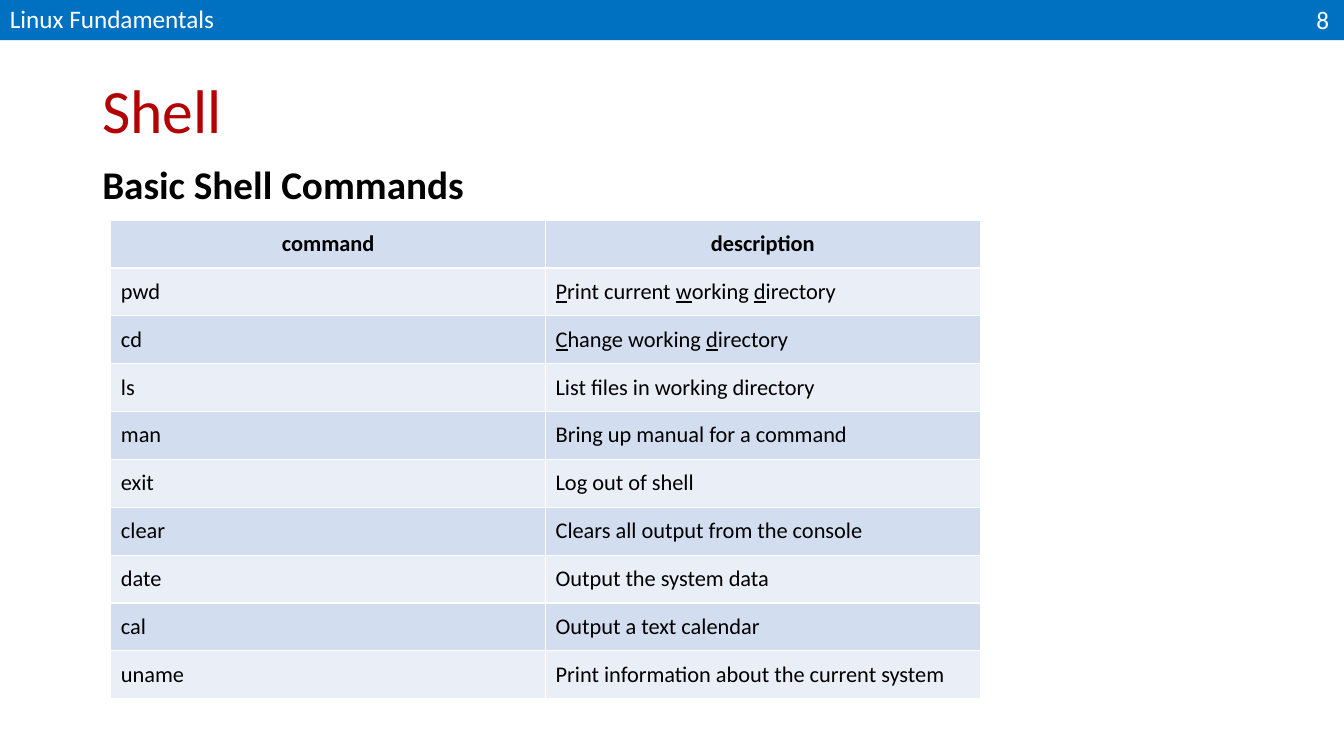
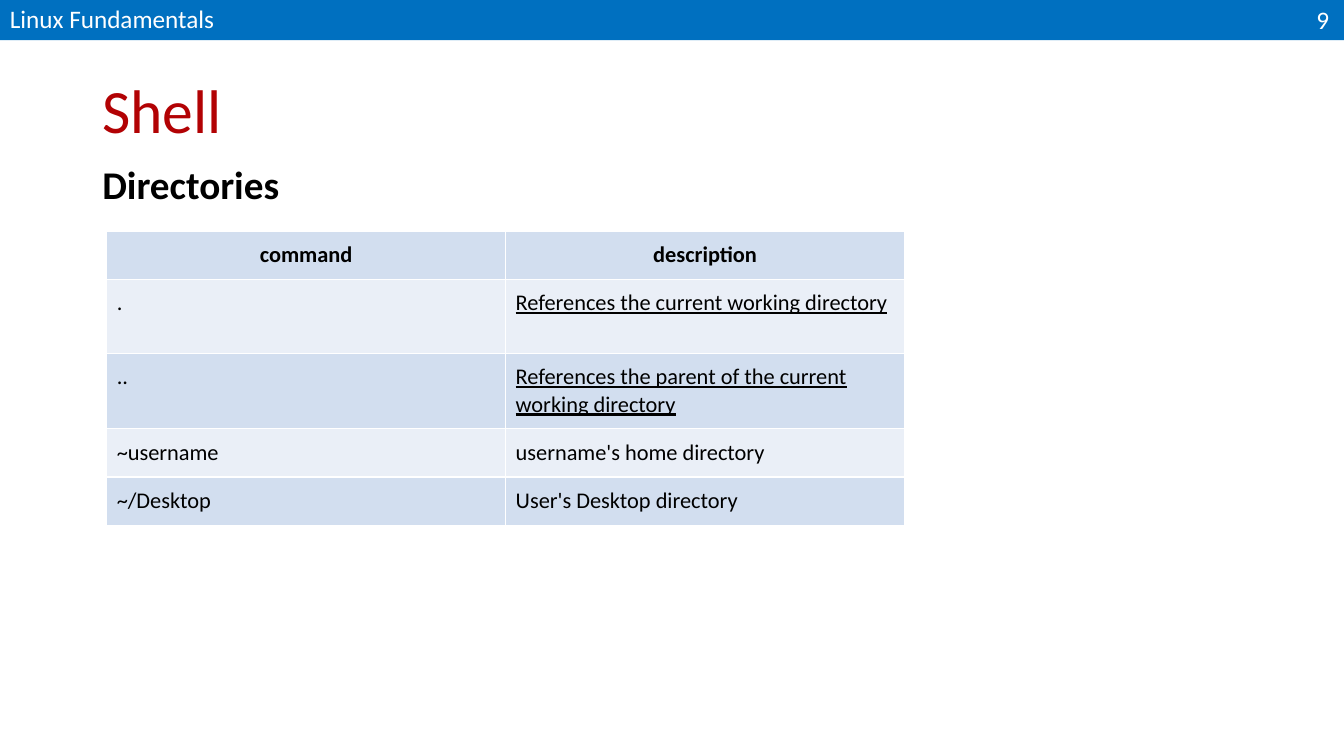
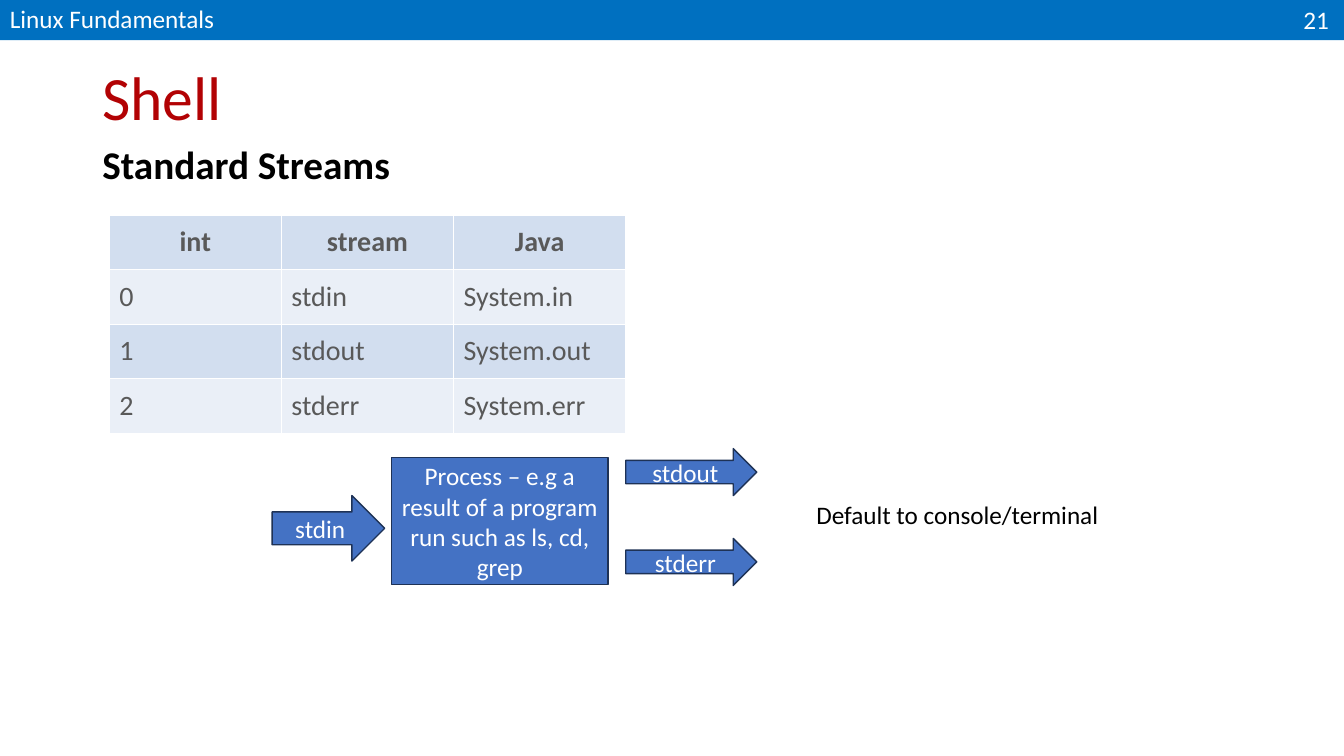
from dataclasses import dataclass

import lxml.etree
import pptx
import pptx.dml.color
import pptx.enum.shapes
import pptx.enum.text
import pptx.oxml.ns
import pptx.util

SHAPES = pptx.enum.shapes.MSO_SHAPE
ALIGN = pptx.enum.text.PP_ALIGN
ANCHOR = pptx.enum.text.MSO_ANCHOR
COLUMNS, ROWS = 160, 90
CELL = pptx.util.Inches(1) // 12


@dataclass(frozen=True)
class Theme:
    font: str = "Calibri"
    band: str = "0070C0"
    title: str = "B20204"
    ink: str = "000000"
    muted: str = "595959"
    white: str = "FFFFFF"
    stripes: tuple = ("D2DEEF", "EAEFF7")
    node: str = "4472C4"
    node_edge: str = "1E3256"
    title_size: int = 44
    heading_size: int = 28
    stream_size: int = 20
    label_size: int = 18
    command_size: int = 16


THEME = Theme()


@dataclass(frozen=True)
class Box:
    left: float
    top: float
    width: float
    height: float

    def inner(self, left, top, width, height):
        return Box(self.left + left, self.top + top, width, height)

    def emu(self):
        return [round(n * CELL) for n in (self.left, self.top, self.width, self.height)]


PAGE = Box(0, 0, COLUMNS, ROWS)


def rgb(value):
    return pptx.dml.color.RGBColor.from_string(value)


def write(frame, text, size=THEME.label_size, color=THEME.ink, bold=False,
          align=ALIGN.LEFT, spacing=None):
    paragraph = frame.paragraphs[0]
    paragraph.alignment = align
    if spacing:
        paragraph.line_spacing = spacing
    for index, part in enumerate(text.split("_")):
        if part:
            run = paragraph.add_run()
            run.text = part
            font = run.font
            font.name, font.size, font.bold = THEME.font, pptx.util.Pt(size), bold
            font.color.rgb = rgb(color)
            if index % 2:
                font.underline = True


def add_label(slide, box, text, anchor=ANCHOR.TOP, **format):
    frame = slide.shapes.add_textbox(*box.emu()).text_frame
    frame.word_wrap = True
    frame.vertical_anchor = anchor
    write(frame, text, **format)


def add_block(slide, box, kind, fill, edge=None, text=""):
    block = slide.shapes.add_shape(kind, *box.emu())
    block.shadow.inherit = False
    block.fill.solid()
    block.fill.fore_color.rgb = rgb(fill)
    if edge:
        block.line.color.rgb = rgb(edge)
        block.line.width = pptx.util.Pt(1)
    else:
        block.line.fill.background()
    if text:
        block.text_frame.word_wrap = True
        block.text_frame.vertical_anchor = ANCHOR.MIDDLE
        write(block.text_frame, text, color=THEME.white, align=ALIGN.CENTER)


def add_borders(cell):
    properties = cell._tc.get_or_add_tcPr()
    qn = pptx.oxml.ns.qn
    for position, side in enumerate(("a:lnL", "a:lnR", "a:lnT", "a:lnB")):
        line = lxml.etree.Element(qn(side), w=str(pptx.util.Pt(1)))
        fill = lxml.etree.SubElement(line, qn("a:solidFill"))
        lxml.etree.SubElement(fill, qn("a:srgbClr"), val=THEME.white)
        properties.insert(position, line)


def add_grid(slide, box, rows, size, color=THEME.ink, heights=None):
    heights = heights or [box.height / len(rows)] * len(rows)
    table = slide.shapes.add_table(len(rows), len(rows[0]), *box.emu()).table
    for column in table.columns:
        column.width = round(box.width * CELL / len(rows[0]))
    for r, (texts, height) in enumerate(zip(rows, heights)):
        table.rows[r].height = round(height * CELL)
        for c, text in enumerate(texts):
            cell = table.cell(r, c)
            cell.margin_left = cell.margin_right = pptx.util.Inches(0.1)
            cell.margin_top = cell.margin_bottom = pptx.util.Inches(0.1)
            cell.fill.solid()
            cell.fill.fore_color.rgb = rgb(THEME.stripes[r % 2])
            add_borders(cell)
            write(cell.text_frame, text, size=size, color=color, bold=r == 0,
                  align=ALIGN.LEFT if r else ALIGN.CENTER)


def add_band(slide, box, number):
    add_block(slide, box, SHAPES.RECTANGLE, THEME.band)
    add_label(slide, box.inner(150.2, -0.1, 9.2, 4.9), number,
              color=THEME.white, align=ALIGN.RIGHT)
    add_label(slide, box.inner(0, -0.2, 54, 4.8), "Linux Fundamentals",
              anchor=ANCHOR.MIDDLE, color=THEME.white)


def add_page(deck, number, heading, title_height=17.4, heading_top=14.3):
    slide = deck.slides.add_slide(deck.slide_layouts[6])
    add_band(slide, PAGE.inner(0, 0, COLUMNS, 4.8), number)
    content = PAGE.inner(11, 4.8, 138, 71.4)
    add_label(slide, content.inner(0, 0, content.width, title_height), "Shell",
              anchor=ANCHOR.MIDDLE, size=THEME.title_size, color=THEME.title, spacing=0.9)
    add_label(slide, content.inner(0, heading_top, content.width, content.height - heading_top),
              heading, size=THEME.heading_size, bold=True, spacing=0.9)
    return slide


def add_stream_diagram(slide, box):
    nodes = [
        (SHAPES.RECTANGLE, (14.2, 1.1, 25.8, 15.1),
         "Process – e.g a result of a program run such as ls, cd, grep"),
        (SHAPES.RIGHT_ARROW, (0, 5.6, 13.4, 7.8), "stdin"),
        (SHAPES.RIGHT_ARROW, (42.1, 0, 15.6, 5.6), "stdout"),
        (SHAPES.RIGHT_ARROW, (42.1, 10.7, 15.6, 5.6), "stderr"),
    ]
    for kind, place, text in nodes:
        add_block(slide, box.inner(*place), kind, THEME.node, THEME.node_edge, text)
    add_label(slide, box.inner(63.6, 5.4, 39.5, 4.8), "Default to console/terminal")


def add_commands_slide(deck):
    slide = add_page(deck, "8", "Basic Shell Commands")
    commands = [
        ("command", "description"),
        ("pwd", "_P_rint current _w_orking _d_irectory"),
        ("cd", "_C_hange working _d_irectory"),
        ("ls", "List files in working directory"),
        ("man", "Bring up manual for a command"),
        ("exit", "Log out of shell"),
        ("clear", "Clears all output from the console"),
        ("date", "Output the system data"),
        ("cal", "Output a text calendar"),
        ("uname", "Print information about the current system"),
    ]
    add_grid(slide, PAGE.inner(13.2, 26.2, 103.5, 57), commands, THEME.command_size)


def add_directories_slide(deck):
    slide = add_page(deck, "9", "Directories")
    directories = [
        ("command", "description"),
        (".", "_References the current working directory_"),
        ("..", "_References the parent of the current working directory_"),
        ("~username", "username's home directory"),
        ("~/Desktop", "User's Desktop directory"),
    ]
    add_grid(slide, PAGE.inner(12.7, 27.5, 95, 35.1), directories, THEME.command_size,
             heights=(5.75, 8.8, 9, 5.75, 5.75))


def add_streams_slide(deck):
    slide = add_page(deck, "21", "Standard Streams", title_height=14.3, heading_top=11.9)
    streams = [
        ("int", "stream", "Java"),
        ("0", "stdin", "System.in"),
        ("1", "stdout", "System.out"),
        ("2", "stderr", "System.err"),
    ]
    add_grid(slide, PAGE.inner(13, 25.6, 61.5, 26), streams, THEME.stream_size, THEME.muted)
    add_stream_diagram(slide, PAGE.inner(32.4, 53.4, 103.1, 16.3))


def main():
    deck = pptx.Presentation()
    deck.slide_width, deck.slide_height = COLUMNS * CELL, ROWS * CELL
    add_commands_slide(deck)
    add_directories_slide(deck)
    add_streams_slide(deck)
    deck.save("out.pptx")


if __name__ == "__main__":
    main()
